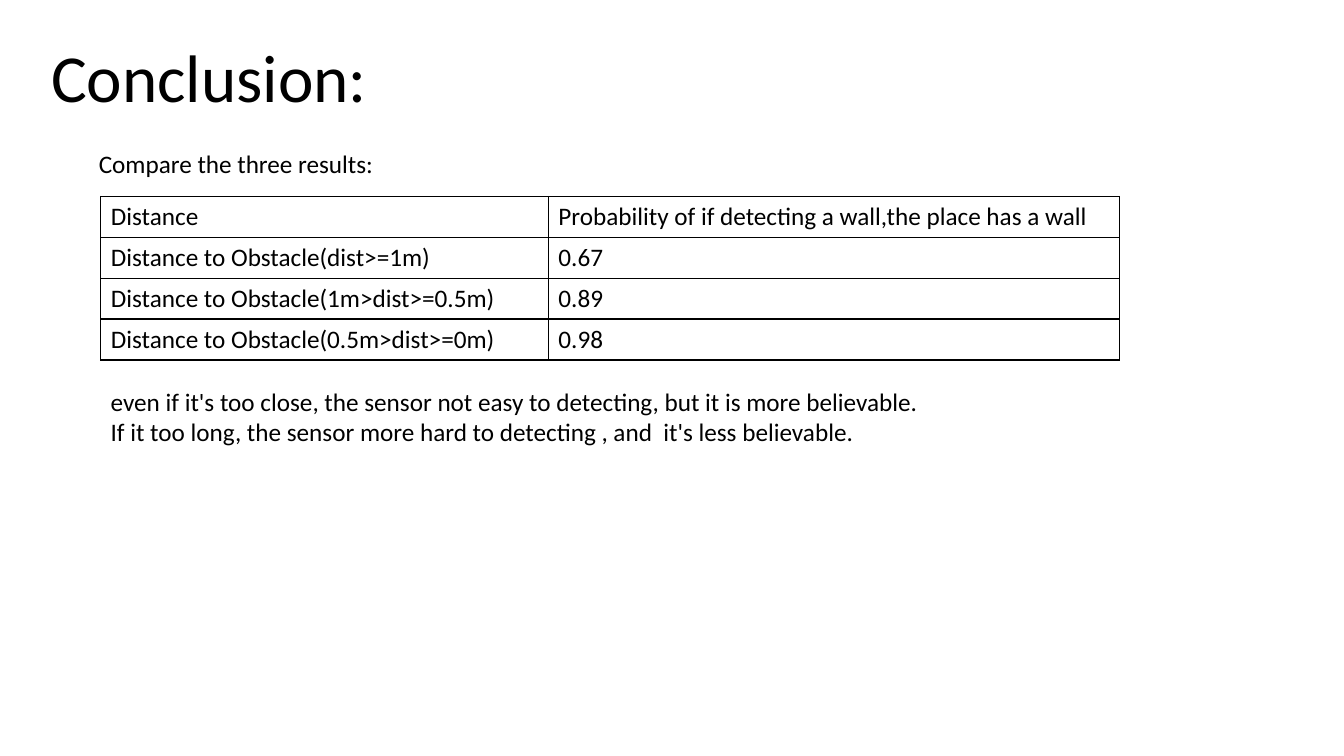
import pptx
import pptx.util
import pptx.dml.color
import pptx.enum.text
import pptx.oxml
import pptx.oxml.ns
from pptx.util import Cm

# Content
INK, PAPER = "000000", "FFFFFF"
BODY = {"name": "Calibri", "size": pptx.util.Pt(18)}
HEAD = {**BODY, "size": pptx.util.Pt(48)}
# lines, (left, top, width, height) in cm, font, wrap
TEXTS = [
    (["Conclusion:"], (1.04, 0.76, 8.56, 2.31), HEAD, False),
    (["Compare the three results:"], (2.24, 3.61, 11.23, 1.02), BODY, True),
    (["even if it's too close, the sensor not easy to detecting, but it is more believable.",
      "If it too long, the sensor more hard to detecting , and  it's less believable."],
     (2.54, 9.6, 24.36, 1.8), BODY, True),
]
ROWS = [
    ("Distance", "Probability of if detecting a wall,the place has a wall"),
    ("Distance to Obstacle(dist>=1m)", "0.67"),
    ("Distance to Obstacle(1m>dist>=0.5m)", "0.89"),
    ("Distance to Obstacle(0.5m>dist>=0m)", "0.98"),
]
LEFT, TOP, HIGH = 2.54, 4.95, 1.03
WIDTHS = (11.28, 14.39)


def color(text):
    return pptx.dml.color.RGBColor.from_string(text)


def write(frame, lines, font):
    for i, line in enumerate(lines):
        para = frame.add_paragraph() if i else frame.paragraphs[0]
        run = para.add_run()
        run.text = line
        for key, value in font.items():
            setattr(run.font, key, value)
        run.font.color.rgb = color(INK)


def border(cell):
    props = cell._tc.get_or_add_tcPr()
    space = pptx.oxml.ns.nsdecls("a")
    for i, side in enumerate(("lnL", "lnR", "lnT", "lnB")):
        props.insert(i, pptx.oxml.parse_xml(
            f'<a:{side} {space} w="12700"><a:solidFill><a:srgbClr val="{INK}"/>'
            f'</a:solidFill></a:{side}>'))


deck = pptx.Presentation()
deck.slide_width, deck.slide_height = Cm(33.87), Cm(19.05)
slide = deck.slides.add_slide(deck.slide_layouts[6])

# Title and notes around the table
for lines, place, font, wrap in TEXTS:
    frame = slide.shapes.add_textbox(*map(Cm, place)).text_frame
    frame.word_wrap = wrap
    frame.auto_size = pptx.enum.text.MSO_AUTO_SIZE.SHAPE_TO_FIT_TEXT
    write(frame, lines, font)

# Table of results
grid = slide.shapes.add_table(
    len(ROWS), len(WIDTHS), Cm(LEFT), Cm(TOP),
    Cm(sum(WIDTHS)), Cm(HIGH * len(ROWS))).table
grid.first_row = grid.horz_banding = False
for col, width in zip(grid.columns, WIDTHS):
    col.width = Cm(width)
for r, row in enumerate(ROWS):
    for c, text in enumerate(row):
        cell = grid.cell(r, c)
        cell.fill.solid()
        cell.fill.fore_color.rgb = color(PAPER)
        border(cell)
        write(cell.text_frame, [text], BODY)

deck.save("out.pptx")
